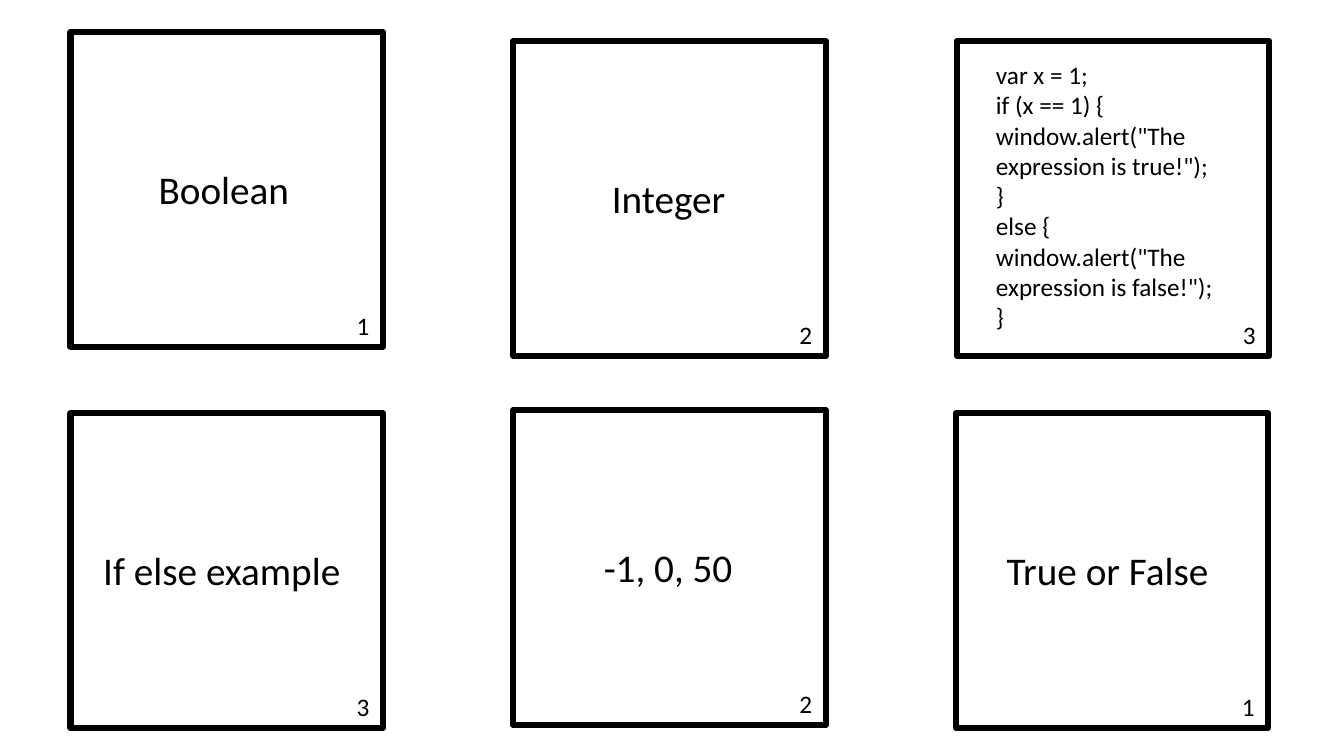
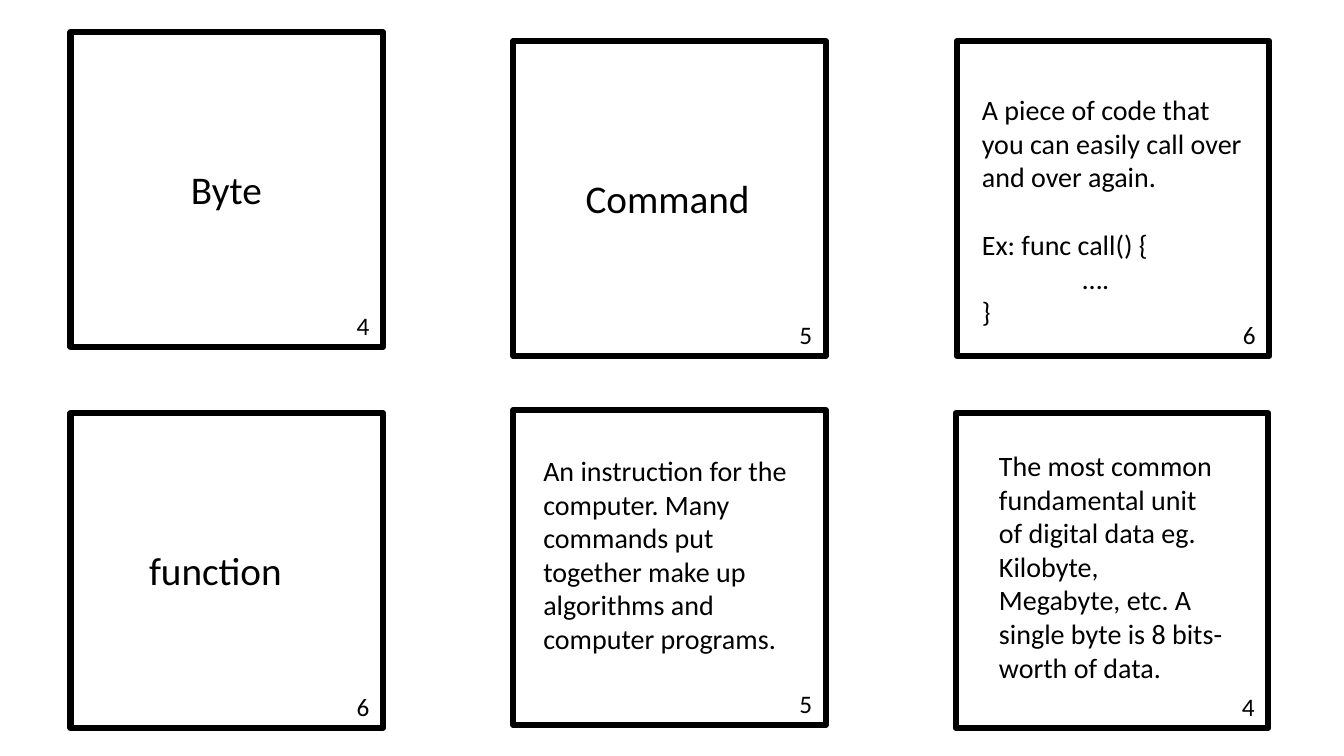
from pptx import Presentation
from pptx.dml.color import RGBColor
from pptx.enum.shapes import MSO_SHAPE
from pptx.util import Inches, Pt

RECT = MSO_SHAPE.RECTANGLE
COLORS = {"ink": "000000"}
FONT = "Calibri"
WIDE, HIGH = 3.1, 3.12
TOPS = [(0.7, 0.32), (5.09, 0.41), (9.49, 0.41)]
LOWS = [(0.7, 4.1), (5.09, 4.07), (9.48, 4.1)]


def ink():
    return RGBColor.from_string(COLORS["ink"])


def write(slide, box, lines, size):
    shape = slide.shapes.add_textbox(*[Inches(n) for n in box])
    frame = shape.text_frame
    frame.word_wrap = True
    frame.text = "\n".join(lines)
    for para in frame.paragraphs:
        for run in para.runs:
            run.font.name = FONT
            run.font.size = Pt(size)
            run.font.color.rgb = ink()
    return frame.paragraphs


def term(text, width):
    def draw(slide, left, top):
        box = (left + (WIDE - width) / 2, top + 1.27, width, 0.57)
        write(slide, box, [text], 28)
    return draw


def block(lines, size, box, gap=None, inset=None):
    def draw(slide, left, top):
        dx, dy, width, height = box
        paras = write(slide, (left + dx, top + dy, width, height), lines, size)
        if gap is not None:
            paras[gap].space_before = Pt(24.4)
        if inset is not None:
            paras[inset]._p.get_or_add_pPr().set("marL", str(Inches(1)))
    return draw


def card(slide, spot, number, body):
    left, top = spot
    frame = slide.shapes.add_shape(
        RECT, Inches(left), Inches(top), Inches(WIDE), Inches(HIGH))
    frame.shadow.inherit = False
    frame.fill.background()
    frame.line.color.rgb = ink()
    frame.line.width = Pt(4.5)
    body(slide, left, top)
    write(slide, (left + 2.74, top + 2.71, 0.36, 0.4), [str(number)], 18)


def sheet(deck, first, upper, lower):
    slide = deck.slides.add_slide(deck.slide_layouts[6])
    for col in range(3):
        card(slide, TOPS[col], first + col, upper[col])
        card(slide, LOWS[col], first + 2 - col, lower[col])


CODE = [
    "var x = 1;",
    "if (x == 1) {",
    'window.alert("The expression is true!");',
    "}",
    "else {",
    'window.alert("The expression is false!");',
    "}",
]
CALL = [
    "A piece of code that you can easily call over and over again.",
    "Ex: func call() {",
    "….",
    "}",
]
ORDER = ["An instruction for the computer. Many commands put together "
         "make up algorithms and computer programs."]
BYTE = ["The most common fundamental unit of digital data eg. Kilobyte, "
        "Megabyte, etc. A single byte is 8 bits-worth of data."]

deck = Presentation()
deck.slide_width = Inches(13.33)
deck.slide_height = Inches(7.5)
sheet(
    deck, 1,
    [term("Boolean", 1.55), term("Integer", 1.34),
     block(CODE, 18, (0.29, 0.13, 2.8, 2.83))],
    [term("If else example", 2.65), term("-1, 0, 50", 1.5),
     term("True or False", 2.29)],
)
sheet(
    deck, 4,
    [term("Byte", 0.91), term("Command", 1.86),
     block(CALL, 20, (0.15, 0.46, 2.8, 2.46), gap=1, inset=2)],
    [term("function", 1.74),
     block(ORDER, 20, (0.2, 0.38, 2.73, 2.12)),
     block(BYTE, 20, (0.33, 0.3, 2.43, 2.46))],
)
deck.save("out.pptx")
